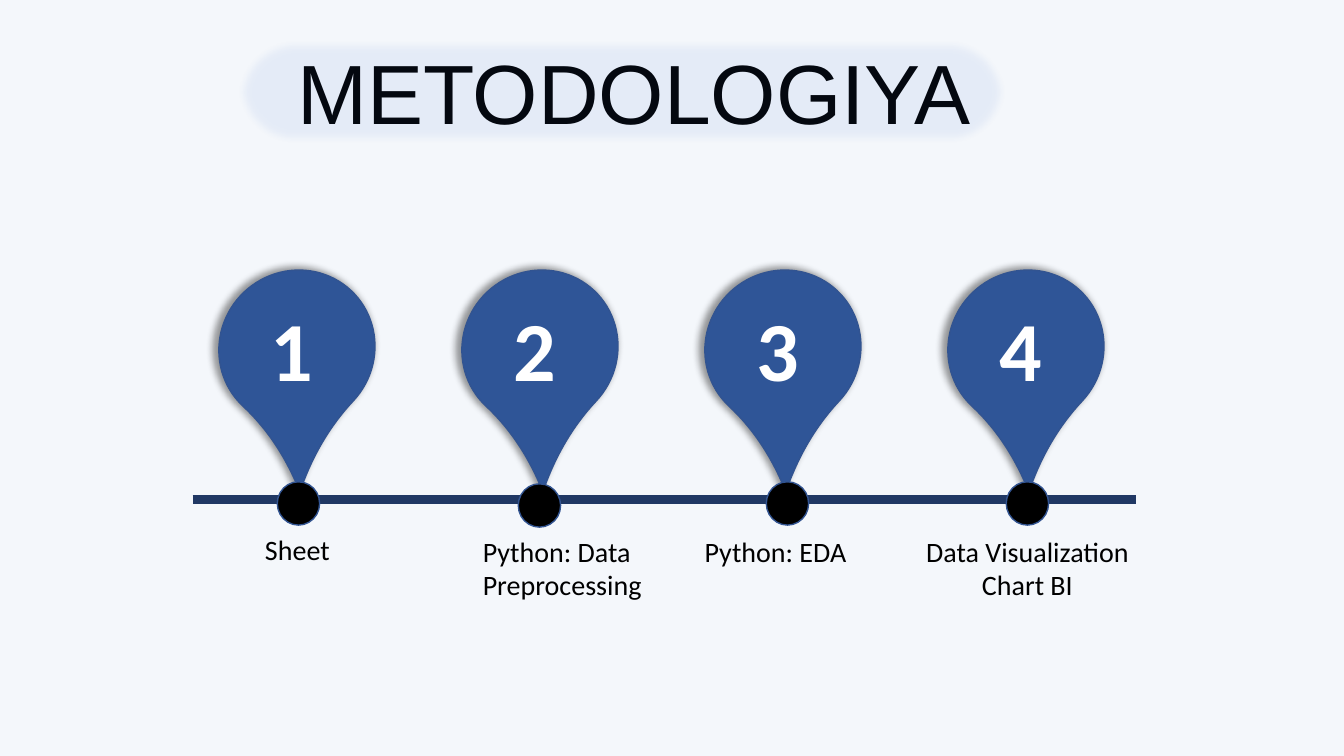
from dataclasses import dataclass

from lxml import etree
from pptx import Presentation
from pptx.dml.color import RGBColor
from pptx.enum.shapes import MSO_CONNECTOR, MSO_SHAPE
from pptx.enum.text import MSO_AUTO_SIZE, PP_ALIGN
from pptx.oxml import parse_xml
from pptx.oxml.ns import qn
from pptx.shapes.autoshape import Shape
from pptx.util import Emu, Pt

DROP = MSO_SHAPE.TEAR
DOT = MSO_SHAPE.FLOWCHART_CONNECTOR
PILL = MSO_SHAPE.ROUND_2_SAME_RECTANGLE
LINE = MSO_CONNECTOR.STRAIGHT
GROW = MSO_AUTO_SIZE.SHAPE_TO_FIT_TEXT
LEFT = PP_ALIGN.LEFT
MID = PP_ALIGN.CENTER

SCALE = 9144
NS = 'xmlns:a="http://schemas.openxmlformats.org/drawingml/2006/main"'
SHADOW = (
    f'<a:effectLst {NS}><a:outerShdw blurRad="63500" sx="102000" sy="102000" '
    'algn="ctr" rotWithShape="0"><a:srgbClr val="000000">'
    '<a:alpha val="40000"/></a:srgbClr></a:outerShdw></a:effectLst>'
)
SOFT = f'<a:effectLst {NS}><a:softEdge rad="63500"/></a:effectLst>'
EMPTY = f'<a:effectLst {NS}/>'

TITLE = {"name": "Arial", "size": Pt(60), "bold": False}
DIGIT = {"name": "Calibri", "size": Pt(60), "bold": True}
LABEL = {"name": "Calibri", "size": Pt(20), "bold": False}

Box = tuple[int, int, int, int]


@dataclass
class Step:
    text: str
    dot: tuple[int, int]
    box: Box
    align: PP_ALIGN = LEFT


STEPS = [
    Step("Sheet", (275, 478), (253, 523, 97, 44)),
    Step("Python: Data Preprocessing", (514, 480), (469, 525, 184, 77)),
    Step("Python: EDA", (760, 478), (689, 525, 184, 44)),
    Step("Data Visualization Chart BI", (998, 478), (892, 525, 254, 77), MID),
]
PITCH = 241


def px(size: int) -> Emu:
    return Emu(size * SCALE)


def tint(code: str) -> RGBColor:
    return RGBColor.from_string(code)


def effect(item, xml: str) -> None:
    props = item._element.spPr
    for old in props.findall(qn("a:effectLst")):
        props.remove(old)
    props.append(parse_xml(xml))


def write(slide, text: str, box: Box, style: dict, code: str = "000000",
          align: PP_ALIGN = LEFT) -> None:
    frame = slide.shapes.add_textbox(*map(px, box)).text_frame
    frame.word_wrap = True
    frame.auto_size = GROW
    para = frame.paragraphs[0]
    para.alignment = align
    run = para.add_run()
    run.text = text
    for key, value in style.items():
        setattr(run.font, key, value)
    run.font.color.rgb = tint(code)


def draw(slide, kind: MSO_SHAPE, box: Box, fill: str, edge: str = "") -> Shape:
    shape = slide.shapes.add_shape(kind, *map(px, box))
    shape.shadow.inherit = False
    shape.fill.solid()
    shape.fill.fore_color.rgb = tint(fill)
    if edge:
        shape.line.color.rgb = tint(edge)
        shape.line.width = Pt(1)
    else:
        shape.line.fill.background()
    return shape


def pin(slide, index: int) -> None:
    shift = index * PITCH
    drop = draw(slide, DROP, (216 + shift, 269, 157, 153), "2F5597", "325491")
    drop.rotation = 133.1
    drop.adjustments[0] = 1.3
    effect(drop, SHADOW)
    write(slide, str(index + 1), (258 + shift, 290, 71, 111), DIGIT, "FFFFFF")


def pill(slide) -> None:
    shape = draw(slide, PILL, (565, -291, 103, 763), "3366CC")
    shape.rotation = 270
    for side in range(2):
        shape.adjustments[side] = 0.5
    color = shape._element.spPr.find(qn("a:solidFill"))[0]
    etree.SubElement(color, qn("a:alpha")).set("val", "8000")
    effect(shape, SOFT)


def main() -> None:
    deck = Presentation()
    deck.slide_width, deck.slide_height = px(1333), px(750)
    slide = deck.slides.add_slide(deck.slide_layouts[6])
    back = slide.background.fill
    back.solid()
    back.fore_color.rgb = tint("F4F7FB")

    write(slide, "METODOLOGIYA", (285, 35, 763, 111), TITLE)
    axis = slide.shapes.add_connector(LINE, *map(px, (191, 496, 1127, 496)))
    axis.line.color.rgb = tint("203864")
    axis.line.width = Pt(6.5)
    effect(axis, EMPTY)

    for index in range(len(STEPS)):
        pin(slide, index)
    for step in STEPS:
        draw(slide, DOT, (*step.dot, 42, 43), "000000", "325491")
    for step in STEPS:
        write(slide, step.text, step.box, LABEL, align=step.align)
    pill(slide)
    deck.save("out.pptx")


if __name__ == "__main__":
    main()
